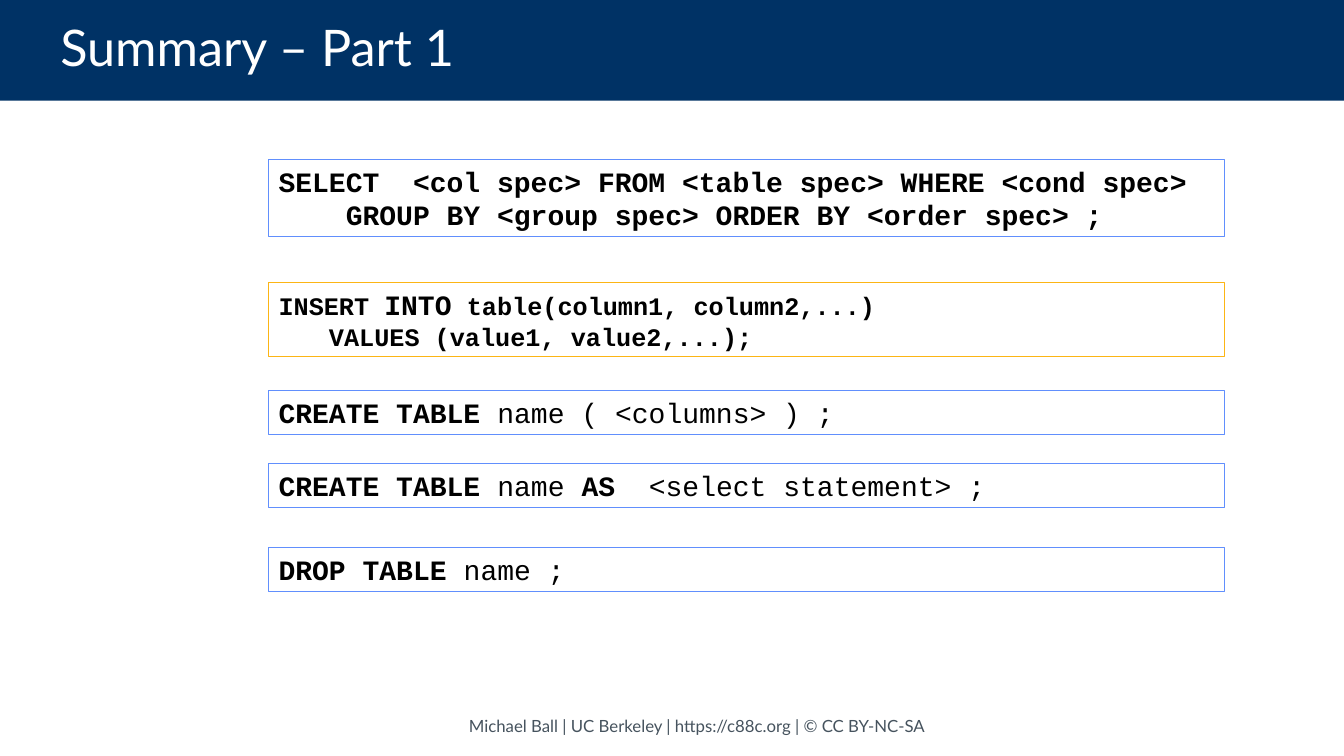
from dataclasses import dataclass

from pptx import Presentation
from pptx.dml.color import RGBColor
from pptx.enum.shapes import MSO_SHAPE
from pptx.enum.text import MSO_ANCHOR, PP_ALIGN
from pptx.util import Cm, Pt

RECT = MSO_SHAPE.RECTANGLE
TOP, MIDDLE = MSO_ANCHOR.TOP, MSO_ANCHOR.MIDDLE
LEFT, CENTER = PP_ALIGN.LEFT, PP_ALIGN.CENTER


@dataclass(frozen=True)
class Theme:
    navy: RGBColor = RGBColor(0x00, 0x32, 0x65)
    blue: RGBColor = RGBColor(0x61, 0x8F, 0xFD)
    gold: RGBColor = RGBColor(0xFC, 0xB5, 0x15)
    black: RGBColor = RGBColor(0x00, 0x00, 0x00)
    white: RGBColor = RGBColor(0xFF, 0xFF, 0xFF)
    grey: RGBColor = RGBColor(0x46, 0x53, 0x5E)
    sans: str = "Lato"
    mono: str = "Courier New"
    title: Pt = Pt(36)
    code: Pt = Pt(20)
    small_code: Pt = Pt(18)
    footer: Pt = Pt(12)


THEME = Theme()
BOLD = {"bold": True, "size": THEME.code}
PLAIN = {"bold": False, "size": THEME.code}
SMALL = {"bold": True, "size": THEME.small_code}

# Each statement: top and height in cm, border colour, lines of (text, format) runs.
STATEMENTS = [
    (4.01, 1.96, THEME.blue, [
        [("SELECT  <col spec> FROM <table spec> WHERE <cond spec>", BOLD)],
        [("    GROUP BY <group spec> ORDER BY <order spec> ;", BOLD)],
    ]),
    (7.11, 1.88, THEME.gold, [
        [("INSERT ", SMALL), ("INTO", BOLD), (" table(column1, column2,...)", SMALL)],
        [("\tVALUES (value1, value2,...);", SMALL)],
    ]),
    (9.83, 1.12, THEME.blue, [
        [("CREATE TABLE ", BOLD), ("name ( <columns> ) ;", PLAIN)],
    ]),
    (11.68, 1.12, THEME.blue, [
        [("CREATE TABLE ", BOLD), ("name ", PLAIN), ("AS", BOLD),
         ("  <select statement> ;", PLAIN)],
    ]),
    (13.79, 1.12, THEME.blue, [
        [("DROP TABLE ", BOLD), ("name ;", PLAIN)],
    ]),
]


def set_format(target, values):
    for name, value in values.items():
        setattr(target, name, value)


def write_lines(sp, lines, font, color, anchor=TOP, align=LEFT, spacing=1.0,
                margin_left=Cm(0.25), margin_right=Cm(0.25)):
    """Fill a shape with lines, each a list of (text, font format) runs."""
    tf = sp.text_frame
    set_format(tf, {
        "word_wrap": True, "vertical_anchor": anchor,
        "margin_left": margin_left, "margin_right": margin_right,
        "margin_top": Cm(0.13), "margin_bottom": Cm(0.13),
    })
    for i, runs in enumerate(lines):
        p = tf.add_paragraph() if i else tf.paragraphs[0]
        set_format(p, {"alignment": align, "line_spacing": spacing})
        for text, values in runs:
            r = p.add_run()
            r.text = text
            set_format(r.font, {"name": font, **values})
            r.font.color.rgb = color


def add_rect(s, left, top, width, height):
    sp = s.shapes.add_shape(RECT, left, top, width, height)
    sp.shadow.inherit = False
    return sp


def add_title(s, text, width):
    sp = add_rect(s, 0, 0, width, Cm(2.54))
    sp.fill.solid()
    sp.fill.fore_color.rgb = THEME.navy
    sp.line.fill.background()
    write_lines(sp, [[(text, {"size": THEME.title})]], THEME.sans, THEME.white,
                MIDDLE, spacing=0.9, margin_left=Cm(1.52), margin_right=Cm(2.54))


def add_statement(s, top, height, border, lines):
    sp = add_rect(s, Cm(6.77), Cm(top), Cm(24.09), Cm(height))
    sp.fill.background()
    sp.line.color.rgb = border
    sp.line.width = Pt(0.75)
    write_lines(sp, lines, THEME.mono, THEME.black)


def add_footer(s, text):
    sp = s.shapes.add_textbox(Cm(11.22), Cm(17.88), Cm(12.7), Cm(0.84))
    write_lines(sp, [[(text, {"size": THEME.footer})]], THEME.sans, THEME.grey,
                MIDDLE, CENTER)


def main():
    prs = Presentation()
    prs.slide_width, prs.slide_height = Cm(33.87), Cm(19.05)
    s = prs.slides.add_slide(prs.slide_layouts[6])
    add_title(s, "Summary – Part 1", prs.slide_width)
    for statement in STATEMENTS:
        add_statement(s, *statement)
    add_footer(s, "Michael Ball | UC Berkeley | https://c88c.org | © CC BY-NC-SA")
    prs.save("out.pptx")


if __name__ == "__main__":
    main()
